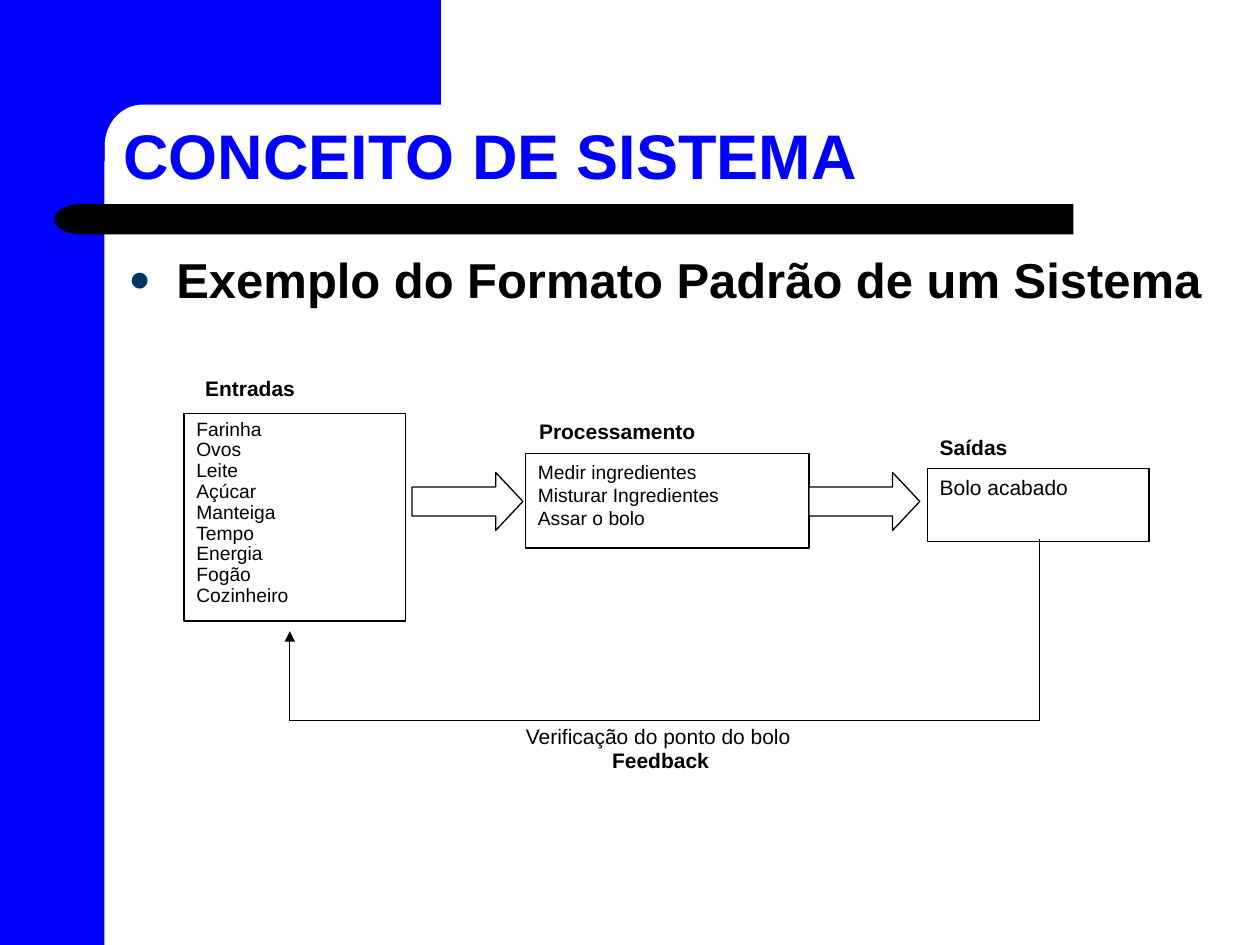
import dataclasses
import math

import lxml.etree
import pptx
import pptx.dml.color
import pptx.enum.shapes
import pptx.enum.text
import pptx.oxml.ns
import pptx.util

SHAPE = pptx.enum.shapes.MSO_SHAPE
ANCHOR = pptx.enum.text.MSO_ANCHOR
ALIGN = pptx.enum.text.PP_ALIGN
COLUMNS, ROWS = 100, 75
CELL = pptx.util.Inches(0.1)


@dataclasses.dataclass(frozen=True)
class Theme:
    font: str = "Arial"
    blue: str = "0000FF"
    black: str = "000000"
    white: str = "FFFFFF"
    bullet: str = "003366"
    title: int = 36
    heading: int = 28
    label: int = 12
    item: int = 11
    line: float = 0.75


THEME = Theme()

# label, label area, box area, lines, type size, line spacing
STAGES = [
    ("Entradas", (15.3, 29.3, 18.8, 3.5), (14.6, 32.8, 17.6, 16.5),
     ["Farinha", "Ovos", "Leite", "Açúcar", "Manteiga", "Tempo", "Energia",
      "Fogão", "Cozinheiro"], THEME.item, 0.9),
    ("Processamento", (41.8, 32.7, 20.2, 4), (41.7, 36, 22.5, 7.5),
     ["Medir ingredientes", "Misturar Ingredientes", "Assar o bolo"],
     THEME.item, 1.0),
    ("Saídas", (73.6, 34, 18.8, 3.5), (73.6, 37.2, 17.6, 5.8),
     ["Bolo acabado"], THEME.label, 1.0),
]
ARROW_COLUMNS = (32.7, 64.2)


def rgb(value):
    return pptx.dml.color.RGBColor.from_string(value)


def cells(*values):
    return [round(value * CELL) for value in values]


def write(frame, lines, size, color=THEME.black, bold=False, **formats):
    """Fill a text frame, one paragraph a line; formats are paragraph values."""
    frame.word_wrap = True
    frame.auto_size = pptx.enum.text.MSO_AUTO_SIZE.NONE
    formats = {"alignment": ALIGN.LEFT, "space_before": 0, **formats}
    font_values = {"name": THEME.font, "size": pptx.util.Pt(size), "bold": bold}
    for index, line in enumerate(lines):
        para = frame.add_paragraph() if index else frame.paragraphs[0]
        for name, value in formats.items():
            setattr(para, name, value)
        span = para.add_run()
        span.text = line
        for name, value in font_values.items():
            setattr(span.font, name, value)
        span.font.color.rgb = rgb(color)


def paint(shape, fill, outlined=False):
    shape.shadow.inherit = False
    shape.fill.solid()
    shape.fill.fore_color.rgb = rgb(fill)
    if outlined:
        shape.line.color.rgb = rgb(THEME.black)
        shape.line.width = pptx.util.Pt(THEME.line)
    else:
        shape.line.fill.background()


def add_block(page, kind, area, fill, outlined=False):
    shape = page.shapes.add_shape(kind, *cells(*area))
    paint(shape, fill, outlined)
    return shape


def add_label(page, area, text, **formats):
    box = page.shapes.add_textbox(*cells(*area))
    write(box.text_frame, [text], THEME.label, **formats)


def add_line(page, start, end, arrowhead=False):
    line = page.shapes.add_connector(
        pptx.enum.shapes.MSO_CONNECTOR.STRAIGHT, *cells(*start, *end))
    line.line.color.rgb = rgb(THEME.black)
    line.line.width = pptx.util.Pt(THEME.line)
    qn = pptx.oxml.ns.qn
    if arrowhead:
        lxml.etree.SubElement(line.line._get_or_add_ln(), qn("a:tailEnd"),
                              type="triangle")
    lxml.etree.SubElement(line.element.spPr, qn("a:effectLst"))


def add_corner(page):
    """Blue corner whose inner angle is a quarter of an ellipse."""
    center_x, center_y, radius_x, radius_y = 11.3, 11.6, 3, 3.3
    arc = [(center_x - radius_x * math.sin(angle),
            center_y - radius_y * math.cos(angle))
           for angle in (math.pi / 2 * step / 16 for step in range(17))]
    points = [(35, 8.3), *arc, (8.3, 12.8), (5, 12.8), (5, 0)]
    builder = page.shapes.build_freeform(*cells(35, 0))
    builder.add_line_segments([cells(*point) for point in points], close=True)
    paint(builder.convert_to_shape(), THEME.blue)


def add_frame(page):
    add_block(page, SHAPE.RECTANGLE, (0, 0, 8.3, ROWS), THEME.blue)
    add_corner(page)
    add_block(page, SHAPE.RECTANGLE, (8.5, 16.2, 76.7, 2.4), THEME.black)
    cap = add_block(page, SHAPE.FLOWCHART_DELAY, (4.3, 16.2, 4.3, 2.4), THEME.black)
    cap.rotation = 180


def place(holder, area):
    """Move a placeholder to its area, in front of the frame."""
    holder.left, holder.top, holder.width, holder.height = cells(*area)
    holder.element.getparent().append(holder.element)


def add_bullet(para):
    qn = pptx.oxml.ns.qn
    properties = para._p.get_or_add_pPr()
    properties.set("marL", str(pptx.util.Inches(0.38)))
    properties.set("indent", str(-pptx.util.Inches(0.38)))
    color = lxml.etree.SubElement(properties, qn("a:buClr"))
    lxml.etree.SubElement(color, qn("a:srgbClr"), val=THEME.bullet)
    lxml.etree.SubElement(properties, qn("a:buSzPct"), val="75000")
    lxml.etree.SubElement(properties, qn("a:buFont"), typeface=THEME.font)
    lxml.etree.SubElement(properties, qn("a:buChar"), char="●")


def fill_placeholders(page):
    title, body = page.shapes.title, page.placeholders[1]
    place(title, (8.8, 8.9, 90.7, 6.9))
    title.text_frame.vertical_anchor = ANCHOR.BOTTOM
    write(title.text_frame, ["CONCEITO DE SISTEMA"], THEME.title,
          THEME.blue, bold=True, line_spacing=0.9)
    place(body, (9.2, 19.3, 90.8, 7.2))
    add_bullet(body.text_frame.paragraphs[0])
    write(body.text_frame, ["Exemplo do Formato Padrão de um Sistema"],
          THEME.heading, bold=True)


def add_stage(page, label, label_area, area, lines, size, spacing):
    box = add_block(page, SHAPE.RECTANGLE, area, THEME.white, outlined=True)
    box.text_frame.vertical_anchor = ANCHOR.TOP
    write(box.text_frame, lines, size, line_spacing=spacing)
    add_label(page, label_area, label, bold=True)


def add_feedback(page):
    right, left, level = 82.5, 23, 57.2
    add_line(page, (right, 42.8), (right, level))
    add_line(page, (right, level), (left, level))
    add_line(page, (left, level), (left, 50.1), arrowhead=True)
    add_label(page, (37, 56.9, 30.5, 3.5), "Verificação do ponto do bolo",
              alignment=ALIGN.CENTER)
    add_label(page, (47.6, 58.8, 18.8, 3.5), "Feedback", bold=True)


def main():
    deck = pptx.Presentation()
    deck.slide_width, deck.slide_height = COLUMNS * CELL, ROWS * CELL
    page = deck.slides.add_slide(deck.slide_layouts[1])
    add_frame(page)
    fill_placeholders(page)
    for stage in STAGES:
        add_stage(page, *stage)
    for column in ARROW_COLUMNS:
        arrow = add_block(page, SHAPE.RIGHT_ARROW, (column, 37.5, 8.8, 4.6),
                          THEME.white, outlined=True)
        arrow.adjustments[1] = 0.47
    add_feedback(page)
    deck.save("out.pptx")


if __name__ == "__main__":
    main()
